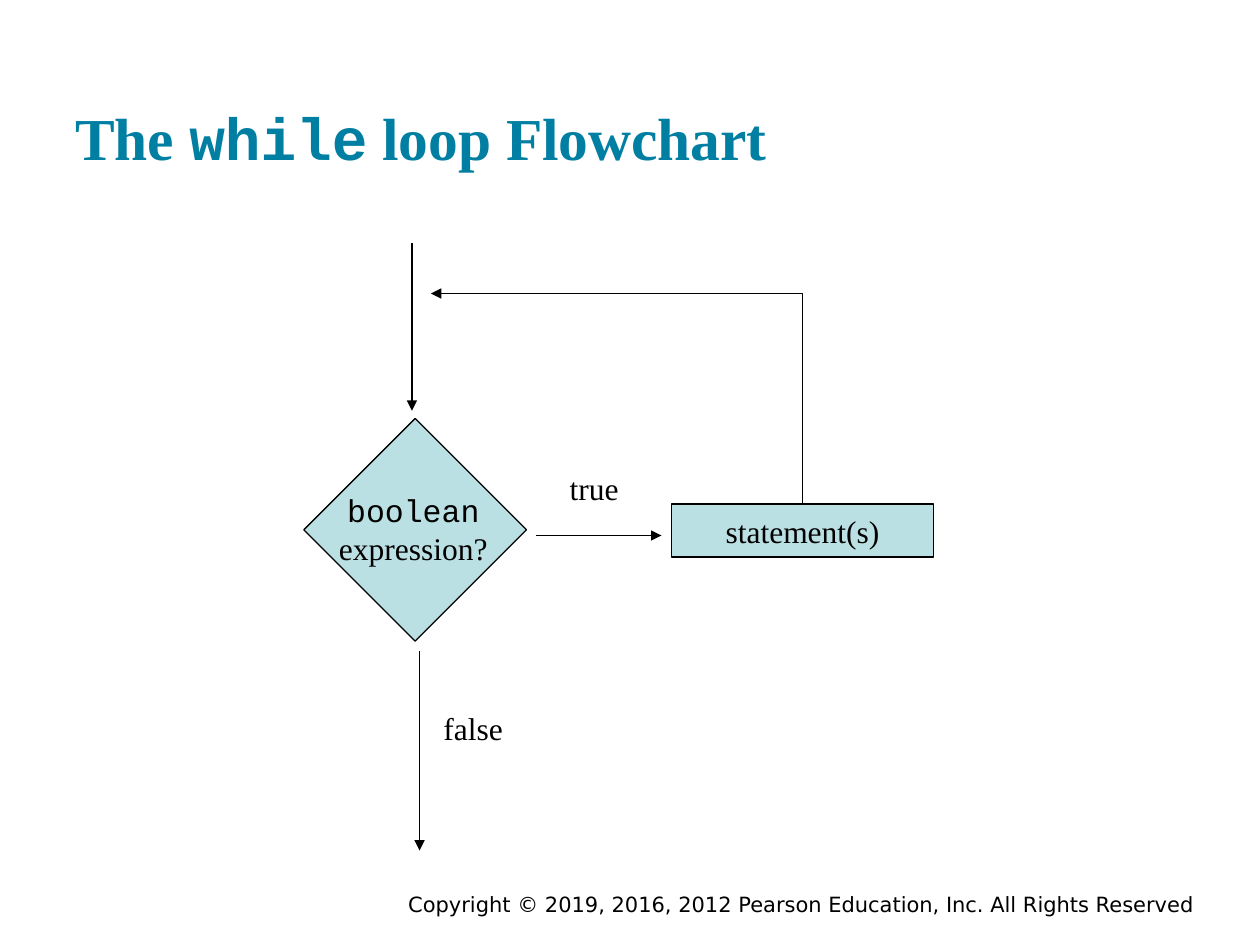
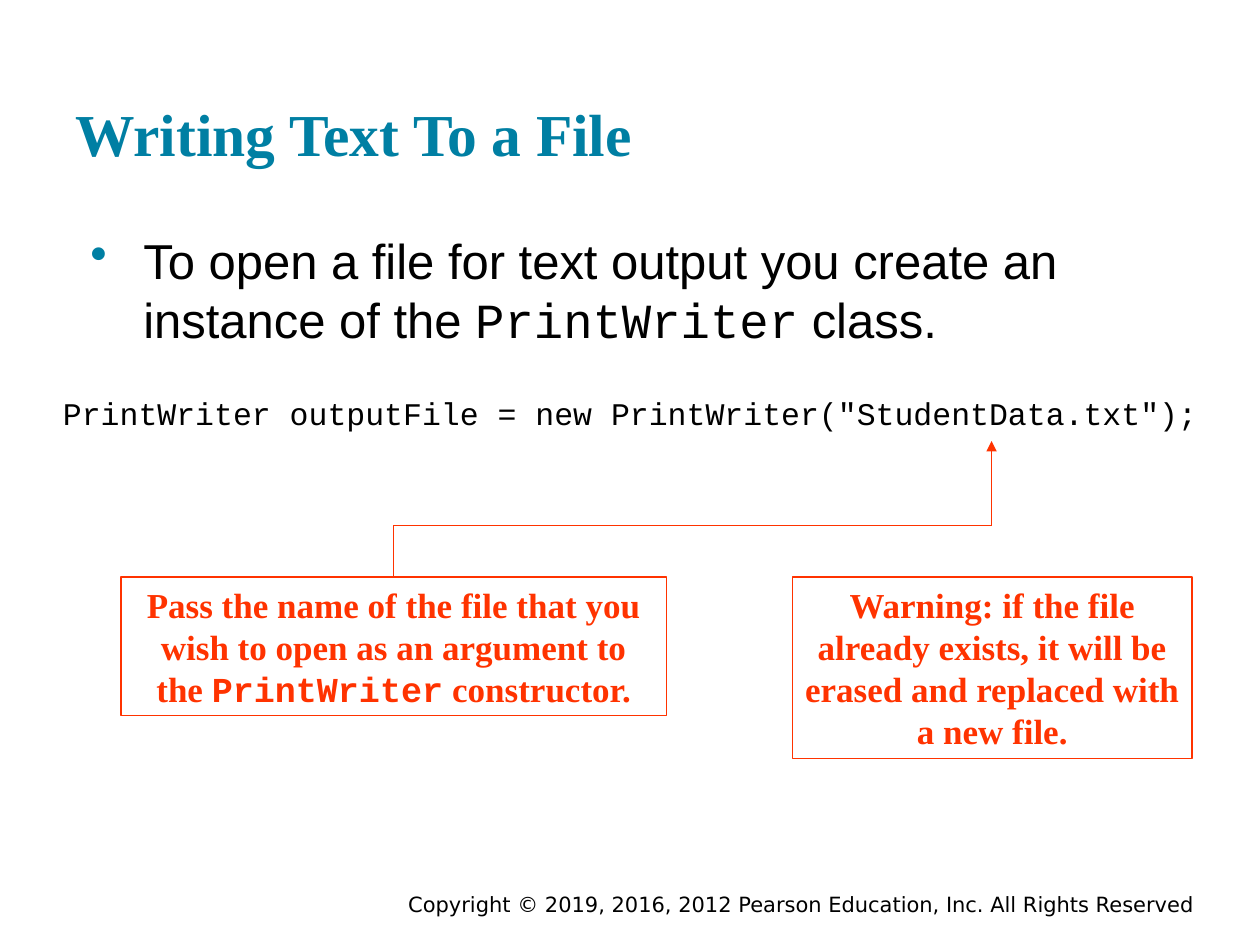
from lxml import etree
from pptx import Presentation
from pptx.dml.color import RGBColor
from pptx.enum.shapes import MSO_CONNECTOR, MSO_SHAPE
from pptx.enum.text import MSO_ANCHOR, MSO_AUTO_SIZE, PP_ALIGN
from pptx.oxml.ns import qn
from pptx.util import Inches, Pt

STRAIGHT, ELBOW = MSO_CONNECTOR.STRAIGHT, MSO_CONNECTOR.ELBOW
RECTANGLE = MSO_SHAPE.RECTANGLE
TOP, MIDDLE, BOTTOM = MSO_ANCHOR.TOP, MSO_ANCHOR.MIDDLE, MSO_ANCHOR.BOTTOM
LEFT, CENTER, RIGHT = PP_ALIGN.LEFT, PP_ALIGN.CENTER, PP_ALIGN.RIGHT
FIT_SHAPE = MSO_AUTO_SIZE.SHAPE_TO_FIT_TEXT

TEAL = RGBColor(0x00, 0x7F, 0xA3)
PALE_BLUE = RGBColor(0xBB, 0xE0, 0xE3)
RED = RGBColor(0xFF, 0x33, 0x00)
BLACK = RGBColor(0x00, 0x00, 0x00)
SERIF, SANS, CODE, FOOTER_FONT = "Times New Roman", "Arial", "Courier New", "DejaVu Sans"

# Text formats
TITLE = {"name": SERIF, "size": Pt(34), "bold": True, "color": TEAL}
FOOTER = {"name": FOOTER_FONT, "size": Pt(12), "color": BLACK}
LABEL = {"name": SERIF, "size": Pt(18), "color": BLACK}
BODY = {"name": SANS, "size": Pt(28), "color": BLACK}
CALLOUT = {"name": SERIF, "size": Pt(20), "bold": True, "color": RED}

# Content: a paragraph is a list of (text, is_code) runs
COPYRIGHT = "Copyright © 2019, 2016, 2012 Pearson Education, Inc. All Rights Reserved"
FOOTER_BOX = (1.75, 7.03, 7.83, 0.22)

WHILE_TITLE = [("The ", False), ("while", True), (" loop Flowchart", False)]
DECISION_BOX = (2.67, 3.58, 1.25, 1.25)
STATEMENT_BOX = (5.33, 4, 2.08, 0.42)
FLOW_LABELS = [
    ((4.42, 3.67, 0.59, 0.4), [[("true", False)]]),
    ((2.59, 3.85, 1.38, 0.7), [[("boolean", True)], [("expression?", False)]]),
    ((3.42, 5.58, 0.67, 0.4), [[("false", False)]]),
]
FLOW_ARROWS = [
    ((3.27, 1.93), (3.27, 3.26)),
    ((4.25, 4.25), (5.25, 4.25)),
    ((3.33, 5.17), (3.33, 6.75)),
]
LOOP_END = (3.42, 2.33)

FILE_TITLE = [("Writing Text To a File", False)]
FILE_BULLET = [("To open a file for text output you create an instance of the ", False),
               ("PrintWriter", True), (" class.", False)]
CODE_LINE = [('PrintWriter outputFile = new PrintWriter("StudentData.txt");', True)]
ARGUMENT_NOTE = [("Pass the name of the file that you wish to open as an argument to the ", False),
                 ("PrintWriter", True), (" constructor.", False)]
WARNING_NOTE = [("Warning: if the file already exists, it will be erased "
                 "and replaced with a new file.", False)]
ARGUMENT_BOX = (0.96, 4.58, 4.33, 1.1)
WARNING_BOX = (6.29, 4.58, 3.17, 1.44)
FILE_NAME_POINT = (7.87, 3.5)
CALLOUT_BEND = 4.17


def write(shape, paragraphs, text_format, align=CENTER, anchor=TOP, wrap=True, margin=0.05):
    frame = shape.text_frame
    frame.word_wrap = wrap
    frame.vertical_anchor = anchor
    frame.margin_top = frame.margin_bottom = Inches(margin)
    for index, runs in enumerate(paragraphs):
        paragraph = frame.add_paragraph() if index else frame.paragraphs[0]
        paragraph.alignment = align
        for text, is_code in runs:
            run = paragraph.add_run()
            run.text = text
            for attribute, value in text_format.items():
                if attribute == "color":
                    run.font.color.rgb = value
                else:
                    setattr(run.font, attribute, value)
            if is_code:
                run.font.name = CODE
    return frame


def add_text(slide, box, paragraphs, text_format, **layout):
    return write(slide.shapes.add_textbox(*map(Inches, box)), paragraphs, text_format, **layout)


def add_box(slide, box, line_color, fill_color=None):
    shape = slide.shapes.add_shape(RECTANGLE, *map(Inches, box))
    shape.shadow.inherit = False
    if fill_color is None:
        shape.fill.background()
    else:
        shape.fill.solid()
        shape.fill.fore_color.rgb = fill_color
    shape.line.color.rgb = line_color
    shape.line.width = Pt(0.75)
    return shape


def add_line(slide, start, end, color, arrow=True, kind=STRAIGHT):
    connector = slide.shapes.add_connector(kind, *map(Inches, start + end))
    connector.line.color.rgb = color
    connector.line.width = Pt(0.75)
    if arrow:
        etree.SubElement(connector.line._get_or_add_ln(), qn("a:tailEnd"), type="triangle")
    etree.SubElement(connector._element.spPr, qn("a:effectLst"))
    return connector


def add_bullet(paragraph, color):
    properties = paragraph._p.get_or_add_pPr()
    properties.set("marL", str(Inches(0.53)))
    properties.set("indent", str(Inches(-0.42)))
    bullet_color = etree.SubElement(properties, qn("a:buClr"))
    etree.SubElement(bullet_color, qn("a:srgbClr"), val=str(color))
    etree.SubElement(properties, qn("a:buChar"), char="•")


def top_middle(box):
    left, top, width, _ = box
    return left + width / 2, top


def new_slide(presentation, title, title_top):
    slide = presentation.slides.add_slide(presentation.slide_layouts[6])
    add_text(slide, FOOTER_BOX, [[(COPYRIGHT, False)]], FOOTER, align=RIGHT)
    add_text(slide, (0.5, title_top, 9, 1.2), [title], TITLE,
             align=LEFT, anchor=BOTTOM, margin=0.1)
    return slide


def build_flowchart(presentation):
    slide = new_slide(presentation, WHILE_TITLE, 0.27)

    # Decision and statement
    add_box(slide, DECISION_BOX, BLACK, PALE_BLUE).rotation = 45
    statement = add_box(slide, STATEMENT_BOX, BLACK, PALE_BLUE)
    write(statement, [[("statement(s)", False)]], LABEL, anchor=MIDDLE, wrap=False)
    for box, paragraphs in FLOW_LABELS:
        add_text(slide, box, paragraphs, LABEL, wrap=False).auto_size = FIT_SHAPE

    # Arrows, then the loop back, which turns right at its start
    for start, end in FLOW_ARROWS:
        add_line(slide, start, end, BLACK)
    loop = add_line(slide, top_middle(STATEMENT_BOX), LOOP_END, BLACK, kind=ELBOW)
    adjustments = loop._element.spPr.find(qn("a:prstGeom")).get_or_add_avLst()
    etree.SubElement(adjustments, qn("a:gd"), name="adj1", fmla="val 100")


def build_file_slide(presentation):
    slide = new_slide(presentation, FILE_TITLE, 0.24)

    # Bullet and code
    body = add_text(slide, (0.51, 1.73, 9, 4.95), [FILE_BULLET], BODY, align=LEFT, margin=0.1)
    add_bullet(body.paragraphs[0], TEAL)
    add_text(slide, (0.21, 3.08, 9.58, 0.4), [CODE_LINE], LABEL).auto_size = FIT_SHAPE

    # Callouts
    notes = []
    for box, note in ((ARGUMENT_BOX, ARGUMENT_NOTE), (WARNING_BOX, WARNING_NOTE)):
        shape = add_box(slide, box, RED)
        write(shape, [note], CALLOUT).auto_size = FIT_SHAPE
        notes.append(shape)

    # Stepped arrow from the argument note up to the file name
    start = top_middle(ARGUMENT_BOX)
    points = [start, (start[0], CALLOUT_BEND), (FILE_NAME_POINT[0], CALLOUT_BEND), FILE_NAME_POINT]
    segments = [add_line(slide, first, second, RED, arrow=second == FILE_NAME_POINT)
                for first, second in zip(points, points[1:])]
    segments[0].begin_connect(notes[0], 0)


def main():
    presentation = Presentation()
    presentation.slide_width, presentation.slide_height = Inches(10), Inches(7.5)
    build_flowchart(presentation)
    build_file_slide(presentation)
    presentation.save("out.pptx")


if __name__ == "__main__":
    main()
